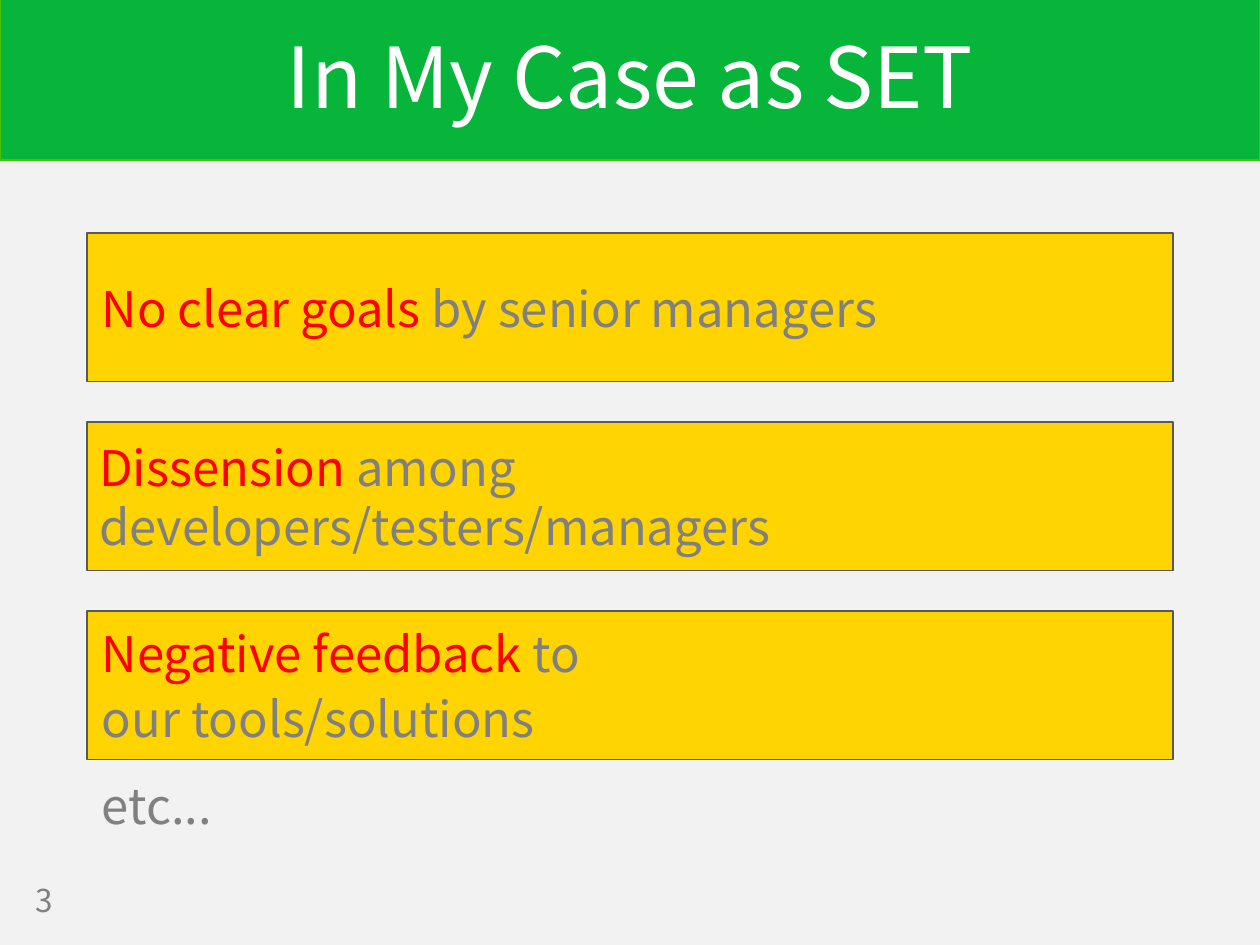
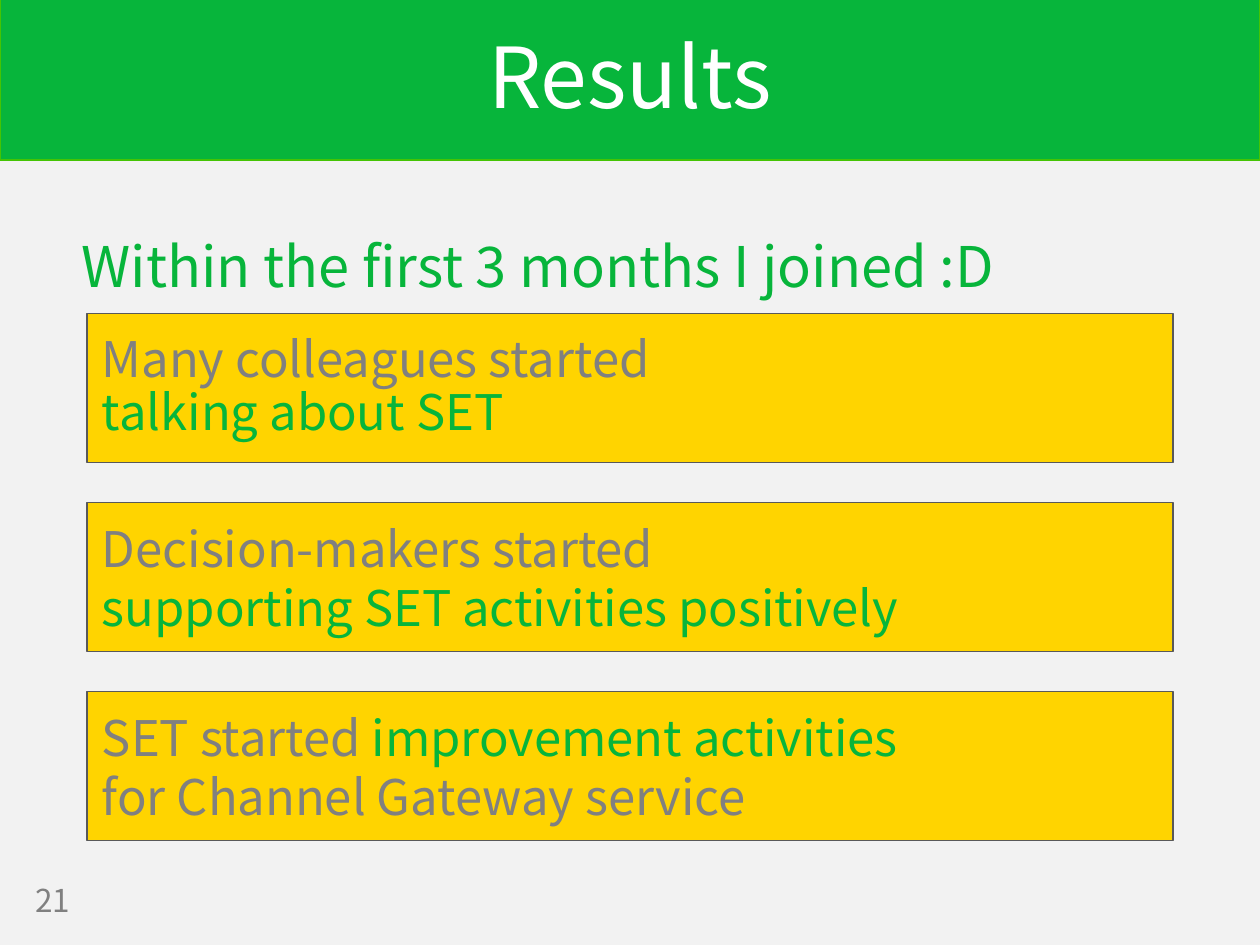
from dataclasses import dataclass

from pptx import Presentation
from pptx.dml.color import RGBColor
from pptx.enum.shapes import MSO_SHAPE
from pptx.enum.text import MSO_ANCHOR, PP_ALIGN
from pptx.util import Inches, Pt

RECTANGLE = MSO_SHAPE.RECTANGLE
TOP, MIDDLE, BOTTOM = MSO_ANCHOR.TOP, MSO_ANCHOR.MIDDLE, MSO_ANCHOR.BOTTOM
LEFT, CENTER = PP_ALIGN.LEFT, PP_ALIGN.CENTER


@dataclass(frozen=True)
class Theme:
    font: str = "Noto Sans CJK JP"
    background: str = "F2F2F2"
    green: str = "07B53B"
    band_line: str = "44C404"
    yellow: str = "FFD400"
    card_line: str = "595959"
    gray: str = "808080"
    red: str = "FF0000"
    white: str = "FFFFFF"
    title_size: int = 48
    lead_size: int = 32
    body_size: int = 28
    number_size: int = 18


THEME = Theme()
RED, GRAY, GREEN = THEME.red, THEME.gray, THEME.green

# Content: a card is a list of paragraphs, a paragraph a list of (text, colour);
# "\n" breaks the line within a paragraph
SLIDES = [
    {
        "title": "In My Case as SET",
        "number": "3",
        "cards_top": 1.85,
        "cards": [
            {"text": [[("No clear goals", RED), (" by senior managers", GRAY)]]},
            {"text": [[("Dissension", RED),
                       (" among\ndevelopers/testers/managers", GRAY)]],
             "indent": 0},
            {"text": [[("Negative feedback", RED), (" to", GRAY)],
                      [("our tools/solutions", GRAY)]]},
        ],
        "closing": "etc...",
    },
    {
        "title": "Results",
        "number": "21",
        "lead": "Within the first 3 months I joined :D",
        "cards_top": 2.49,
        "cards": [
            {"text": [[("Many colleagues started\n", GRAY),
                       ("talking about SET", GREEN)]],
             "line_spacing": 0.9},
            {"text": [[("Decision-makers started\n", GRAY),
                       ("supporting SET activities positively", GREEN)]]},
            {"text": [[("SET started ", GRAY),
                       ("improvement activities\n", GREEN),
                       ("for Channel Gateway service", GRAY)]]},
        ],
    },
]

# Layout in inches
SLIDE_WIDTH, SLIDE_HEIGHT = 10, 7.5
BAND = (0, -0.01, SLIDE_WIDTH, 1.28)
TITLE = (0, 0.36, SLIDE_WIDTH, 0.57)
NUMBER = (0.18, 6.95, 0.79, 0.39)
BODY_TOP, BODY_HEIGHT = 1.85, 4.82
CARD_LEFT, CARD_WIDTH, CARD_HEIGHT, CARD_PITCH = 0.69, 8.62, 1.18, 1.5
CARD_INDENT, LEAD_INDENT = 0.02, 0.55
PARAGRAPH_GAP = 3.8


def color(value):
    return RGBColor.from_string(value)


def write(shape, paragraphs, size, anchor=MIDDLE, align=LEFT, indent=0,
          line_spacing=1.0):
    """Fill a shape with paragraphs of coloured runs."""
    frame = shape.text_frame
    frame.word_wrap = True
    frame.vertical_anchor = anchor
    for index, parts in enumerate(paragraphs):
        paragraph = frame.add_paragraph() if index else frame.paragraphs[0]
        paragraph.alignment = align
        paragraph.line_spacing = line_spacing
        if index:
            paragraph.space_before = Pt(PARAGRAPH_GAP)
        paragraph._p.get_or_add_pPr().set("marL", str(Inches(indent)))
        paragraph.font.size = Pt(size)
        for text, run_color in parts:
            for line_index, line in enumerate(text.split("\n")):
                if line_index:
                    paragraph.add_line_break()
                if line:
                    run = paragraph.add_run()
                    run.text = line
                    run.font.name = THEME.font
                    run.font.size = Pt(size)
                    run.font.color.rgb = color(run_color)


def add_text(slide, box, text, text_color, size, **options):
    shape = slide.shapes.add_textbox(*map(Inches, box))
    write(shape, [[(text, text_color)]], size, **options)


def add_rectangle(slide, box, fill, line, line_width):
    shape = slide.shapes.add_shape(RECTANGLE, *map(Inches, box))
    shape.shadow.inherit = False
    shape.fill.solid()
    shape.fill.fore_color.rgb = color(fill)
    shape.line.color.rgb = color(line)
    shape.line.width = Pt(line_width)
    return shape


def add_frame(slide, title, number):
    """Draw what every slide shares: background, title band, page number."""
    slide.background.fill.solid()
    slide.background.fill.fore_color.rgb = color(THEME.background)
    add_rectangle(slide, BAND, THEME.green, THEME.band_line, 1)
    add_text(slide, TITLE, title, THEME.white, THEME.title_size,
             align=CENTER, line_spacing=0.9)
    add_text(slide, NUMBER, number, THEME.gray, THEME.number_size)


def add_cards(slide, cards, top):
    for index, card in enumerate(cards):
        box = (CARD_LEFT, top + index * CARD_PITCH, CARD_WIDTH, CARD_HEIGHT)
        shape = add_rectangle(slide, box, THEME.yellow, THEME.card_line, 0.75)
        write(shape, card["text"], THEME.body_size,
              indent=card.get("indent", CARD_INDENT),
              line_spacing=card.get("line_spacing", 1.0))


def main():
    presentation = Presentation()
    presentation.slide_width = Inches(SLIDE_WIDTH)
    presentation.slide_height = Inches(SLIDE_HEIGHT)
    blank_layout = presentation.slide_layouts[6]

    for content in SLIDES:
        slide = presentation.slides.add_slide(blank_layout)
        add_frame(slide, content["title"], content["number"])
        # Lines above and below the cards
        if "lead" in content:
            add_text(slide, (0, BODY_TOP, SLIDE_WIDTH, BODY_HEIGHT),
                     content["lead"], THEME.green, THEME.lead_size,
                     anchor=TOP, indent=LEAD_INDENT, line_spacing=0.9)
        if "closing" in content:
            add_text(slide, (CARD_LEFT, BODY_TOP, CARD_WIDTH, BODY_HEIGHT),
                     content["closing"], THEME.gray, THEME.body_size,
                     anchor=BOTTOM, indent=CARD_INDENT)
        add_cards(slide, content["cards"], content["cards_top"])

    presentation.save("out.pptx")


if __name__ == "__main__":
    main()
